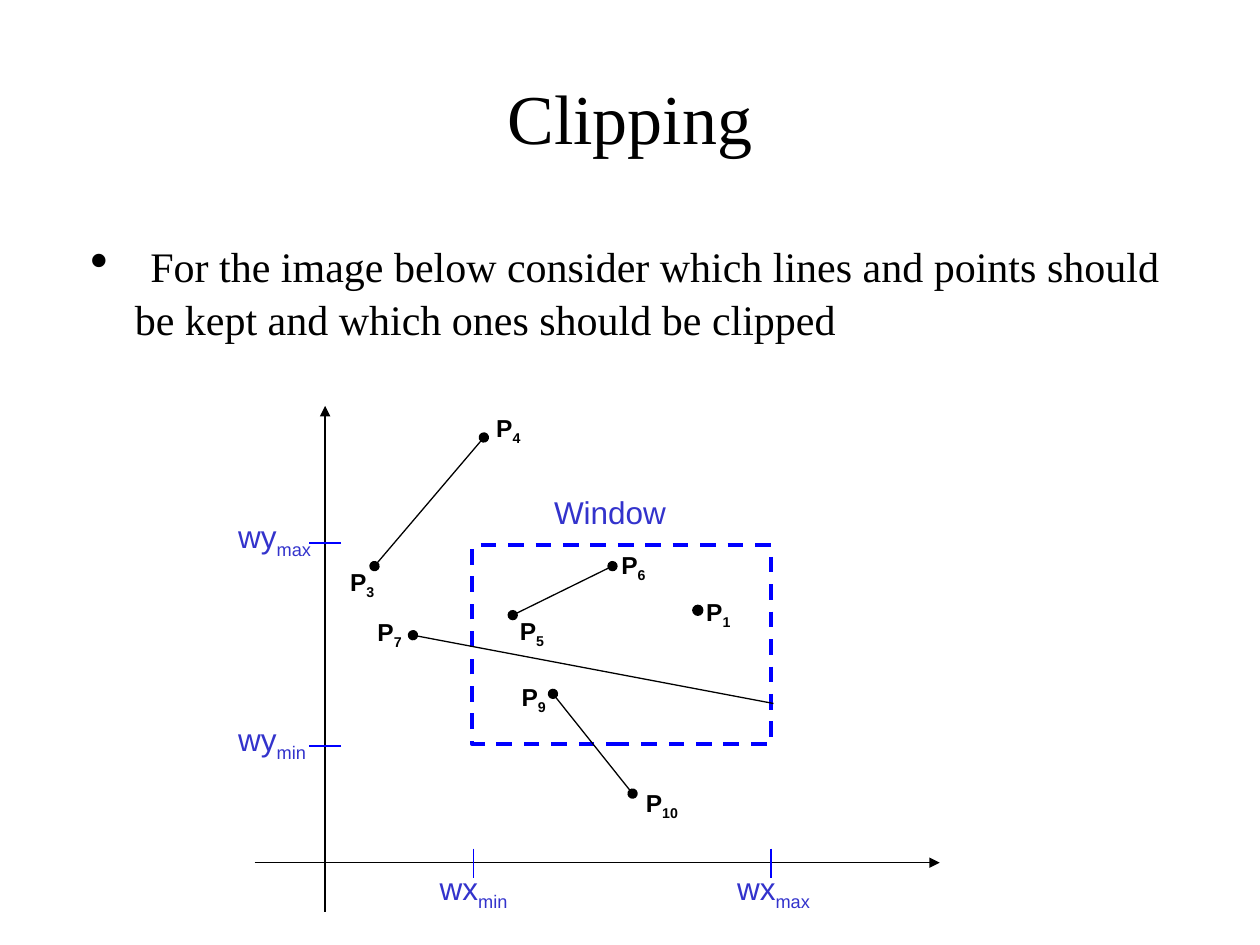
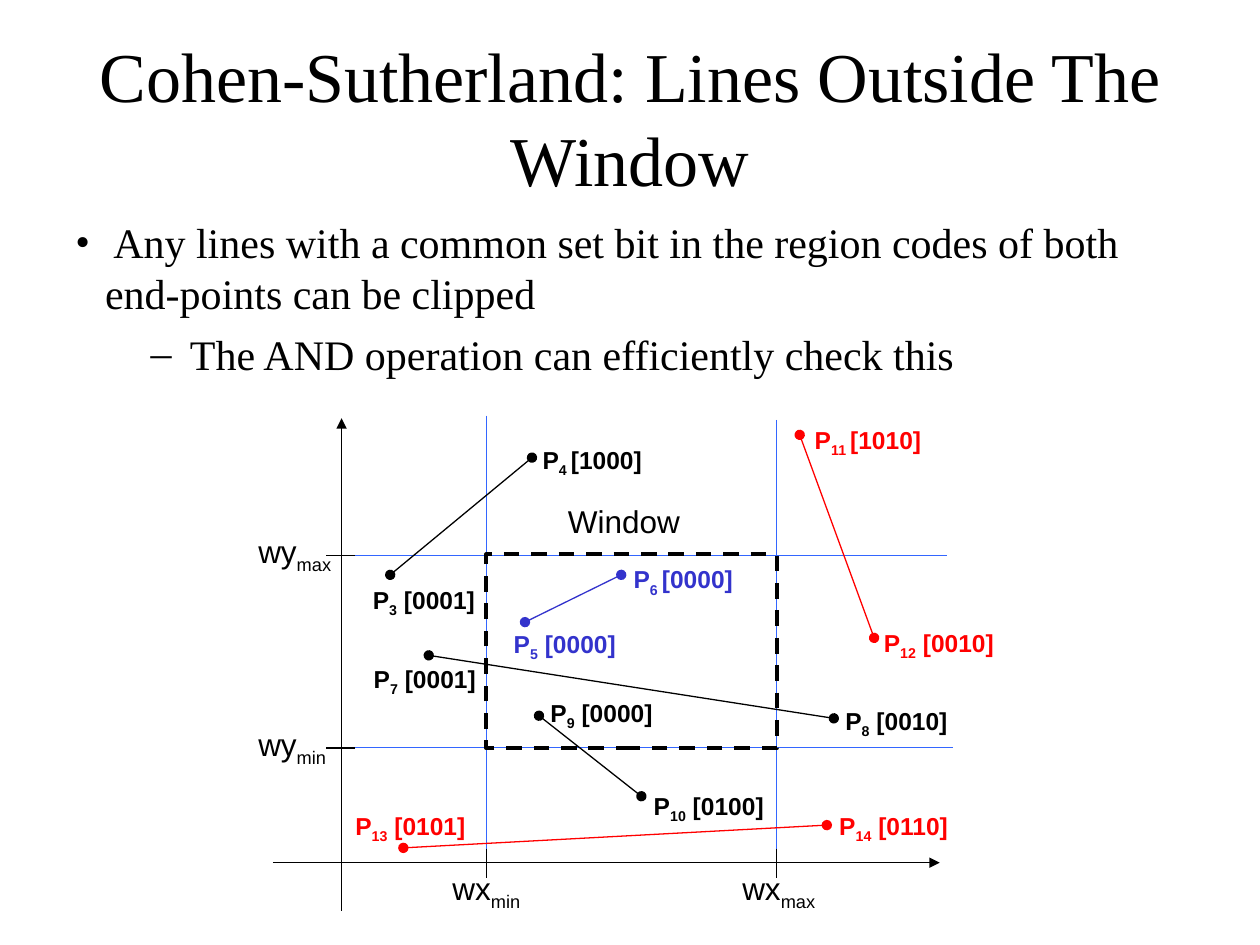
"""Build two slides on line clipping against a window."""
from lxml.etree import SubElement
from pptx import Presentation
from pptx.dml.color import RGBColor
from pptx.enum.dml import MSO_LINE_DASH_STYLE as Dash
from pptx.enum.shapes import MSO_CONNECTOR as Connector, MSO_SHAPE as Shape
from pptx.enum.text import MSO_ANCHOR as Anchor, MSO_AUTO_SIZE as AutoSize, PP_ALIGN as Align
from pptx.oxml.ns import qn
from pptx.util import Pt

COLORS = {"black": "000000", "blue": "0000FF", "indigo": "3333CC", "guide": "3366FF", "red": "FF0000"}
SERIF, SANS = "Times New Roman", "Arial"
TITLE_AREA = (36, 21.6, 648, 90)
THIN, THICK = 0.75, 2.25
LABEL_WIDTHS = {"max": 56, "min": 53}

SLIDES = [
    {
        "title": "Clipping",
        "body_area": (36, 126, 648, 116),
        "body": [
            {"bullet": "•", "margin": 34, "indent": -26, "spans": [
                (" ", {"size": 32, "font": SANS}),
                ("For the image below consider which lines and points should be kept "
                 "and which ones should be clipped", {"size": 24})]},
        ],
        "window": (270, 311.6, 170.6, 113.8),
        "window_color": "blue", "tick_color": "blue", "label_color": "indigo",
        "x_axis": (145.5, 493, 537, 493),
        "y_axis": (185.8, 521, 185.8, 232),
        "x_ticks": {"min": 270.7, "max": 440.6},
        "y_ticks": {"max": 310.3, "min": 426.3},
        "y_tick_span": (176.5, 195),
        "y_label_left": 129, "y_label_rise": 18.4,
        "guides": [],
        "segments": [
            ((293, 351.5, 350, 323.5), "black", "oval"),
            ((214, 323.5, 276.5, 250), "black", "oval"),
            ((316, 396.5, 361.5, 453.5), "black", "oval"),
            ((236, 363, 442, 402), "black", None),
        ],
        "dots": [(395.5, 345.5)],
        "points": [
            ("1", "", 396.5, 337.5, "black"),
            ("3", "", 193, 320.5, "black"),
            ("6", "", 348, 310.5, "black"),
            ("5", "", 290, 348.5, "black"),
            ("7", "", 208.6, 349, "black"),
            ("10", "", 362, 446.5, "black"),
            ("9", "", 291, 386, "black"),
            ("4", "", 276.5, 232.5, "black"),
        ],
    },
    {
        "title": "Cohen-Sutherland: Lines Outside The Window",
        "body_area": (36, 120.4, 648, 150),
        "body": [
            {"bullet": "•", "margin": 17, "indent": -17, "spans": [
                (" Any lines with a common set bit in the region codes of both "
                 "end-points can be clipped", {"size": 24})]},
            {"bullet": "–", "margin": 65.5, "indent": -22.5, "level": 1, "spans": [
                ("The AND operation can efficiently check this", {"size": 24})]},
        ],
        "window": (277.9, 316.7, 166, 110.8),
        "window_color": "black", "tick_color": "black", "label_color": "black",
        "x_axis": (156, 493, 537, 493),
        "y_axis": (195.2, 520.5, 195.2, 239),
        "x_ticks": {"min": 278, "max": 443.6},
        "y_ticks": {"max": 317.4, "min": 427.4},
        "y_tick_span": (186.5, 203),
        "y_label_left": 140.5, "y_label_rise": 16.8,
        "guides": [
            (278, 237.5, 278, 487),
            (443.6, 240, 443.6, 489.5),
            (541, 317.6, 199.5, 317.6),
            (544.5, 427.2, 203, 427.2),
        ],
        "segments": [
            ((300, 355.5, 355, 328.5), "indigo", "oval"),
            ((223, 328.5, 304, 261.5), "black", "oval"),
            ((308, 409, 366.5, 455), "black", "oval"),
            ((245, 374.5, 476.5, 410.5), "black", "oval"),
            ((499.5, 364.5, 457, 248.5), "red", "oval"),
            ((230.5, 484.5, 472.5, 471.5), "red", "oval"),
        ],
        "dots": [],
        "points": [
            ("3", " [0001]", 206, 330.5, "black"),
            ("6 ", "[0000]", 355, 319, "indigo"),
            ("5", " [0000]", 286.5, 355.8, "indigo"),
            ("7", " [0001]", 206.5, 376, "black"),
            ("10", " [0100]", 366.5, 448.2, "black"),
            ("9", " [0000]", 307.5, 395.5, "black"),
            ("4 ", "[1000]", 303, 250.5, "black"),
            ("8", " [0010]", 476, 399.8, "black"),
            ("12", " [0010]", 498, 355.2, "red"),
            ("11 ", "[1010]", 458.5, 239.2, "red"),
            ("13", " [0101]", 196, 459.8, "red"),
            ("14", " [0110]", 472.5, 460, "red"),
        ],
    },
]


def points(values):
    return [Pt(value) for value in values]


def rgb(name):
    return RGBColor.from_string(COLORS[name])


def add_span(para, text, size=24, font=SERIF, color="black", bold=False, subscript=False):
    span = para.add_run()
    span.text = text
    span.font.size = Pt(size)
    span.font.name = font
    span.font.bold = bold
    span.font.color.rgb = rgb(color)
    if subscript:
        span.font._rPr.set("baseline", "-25000")


def add_line(slide, ends, color, head=None, tail=None):
    line = slide.shapes.add_connector(Connector.STRAIGHT, *points(ends))
    line.line.width = Pt(THIN)
    line.line.color.rgb = rgb(color)
    outline = line.line._get_or_add_ln()
    for tag, kind in (("a:headEnd", head), ("a:tailEnd", tail)):
        if kind:
            SubElement(outline, qn(tag), type=kind)
    SubElement(line._element.spPr, qn("a:effectLst"))


def add_label(slide, area, main, sub="", rest="", **style):
    box = slide.shapes.add_textbox(*points(area))
    box.text_frame.word_wrap = False
    box.text_frame.auto_size = AutoSize.SHAPE_TO_FIT_TEXT
    para = box.text_frame.paragraphs[0]
    for text, lowered in ((main, False), (sub, True), (rest, False)):
        if text:
            add_span(para, text, font=SANS, subscript=lowered, **style)


def add_title(slide, text):
    title = slide.shapes.title
    title.left, title.top, title.width, title.height = points(TITLE_AREA)
    title.text_frame.auto_size = AutoSize.NONE
    title.text_frame.vertical_anchor = Anchor.MIDDLE
    para = title.text_frame.paragraphs[0]
    para.alignment = Align.CENTER
    add_span(para, text, size=40)


def add_body(slide, area, items):
    frame = slide.shapes.add_textbox(*points(area)).text_frame
    frame.word_wrap = True
    for index, item in enumerate(items):
        para = frame.add_paragraph() if index else frame.paragraphs[0]
        para.level = item.get("level", 0)
        para.space_before = Pt(6 if index else 0)
        layout = para._p.get_or_add_pPr()
        layout.set("marL", str(Pt(item["margin"])))
        layout.set("indent", str(Pt(item["indent"])))
        SubElement(layout, qn("a:buFont"), typeface=SERIF)
        SubElement(layout, qn("a:buChar"), char=item["bullet"])
        for text, style in item["spans"]:
            add_span(para, text, **style)


def add_window(slide, area, color, label_color):
    window = slide.shapes.add_shape(Shape.RECTANGLE, *points(area))
    window.shadow.inherit = False
    window.fill.background()
    window.line.color.rgb = rgb(color)
    window.line.width = Pt(THICK)
    window.line.dash_style = Dash.DASH
    add_label(slide, (area[0] + 39.5, area[1] - 33.5, 79, 29), "Window", size=18, color=label_color)


def add_axes(slide, chart):
    for axis in ("x_axis", "y_axis"):
        add_line(slide, chart[axis], "black", tail="triangle")
    style = {"size": 18, "color": chart["label_color"]}
    inner, outer = chart["y_tick_span"]
    for bound, y in chart["y_ticks"].items():
        add_line(slide, (outer, y, inner, y), chart["tick_color"])
        area = (chart["y_label_left"], y - chart["y_label_rise"], LABEL_WIDTHS[bound], 32)
        add_label(slide, area, "wy", bound, **style)
    for bound, x in chart["x_ticks"].items():
        add_line(slide, (x, 485, x, 502), chart["tick_color"])
        add_label(slide, (x - 26.5, 493, LABEL_WIDTHS[bound], 32), "wx", bound, **style)


def add_points(slide, chart):
    for ends, color, tail in chart["segments"]:
        add_line(slide, ends, color, head="oval", tail=tail)
    for left, top in chart["dots"]:
        dot = slide.shapes.add_shape(Shape.OVAL, *points((left, top, 6.5, 6.5)))
        dot.shadow.inherit = False
        dot.fill.solid()
        dot.fill.fore_color.rgb = rgb("black")
        dot.line.fill.background()
    for number, code, left, top, color in chart["points"]:
        width = 23.5 + 4.8 * len(number.strip()) + (44.5 if code else 0)
        add_label(slide, (left, top, width, 26.5), "P", number, code, size=14, color=color, bold=True)


def main():
    deck = Presentation()
    deck.slide_width, deck.slide_height = Pt(720), Pt(540)
    for content in SLIDES:
        slide = deck.slides.add_slide(deck.slide_layouts[5])
        add_title(slide, content["title"])
        add_body(slide, content["body_area"], content["body"])
        for ends in content["guides"]:
            add_line(slide, ends, "guide")
        add_window(slide, content["window"], content["window_color"], content["label_color"])
        add_axes(slide, content)
        add_points(slide, content)
    deck.save("out.pptx")


if __name__ == "__main__":
    main()
